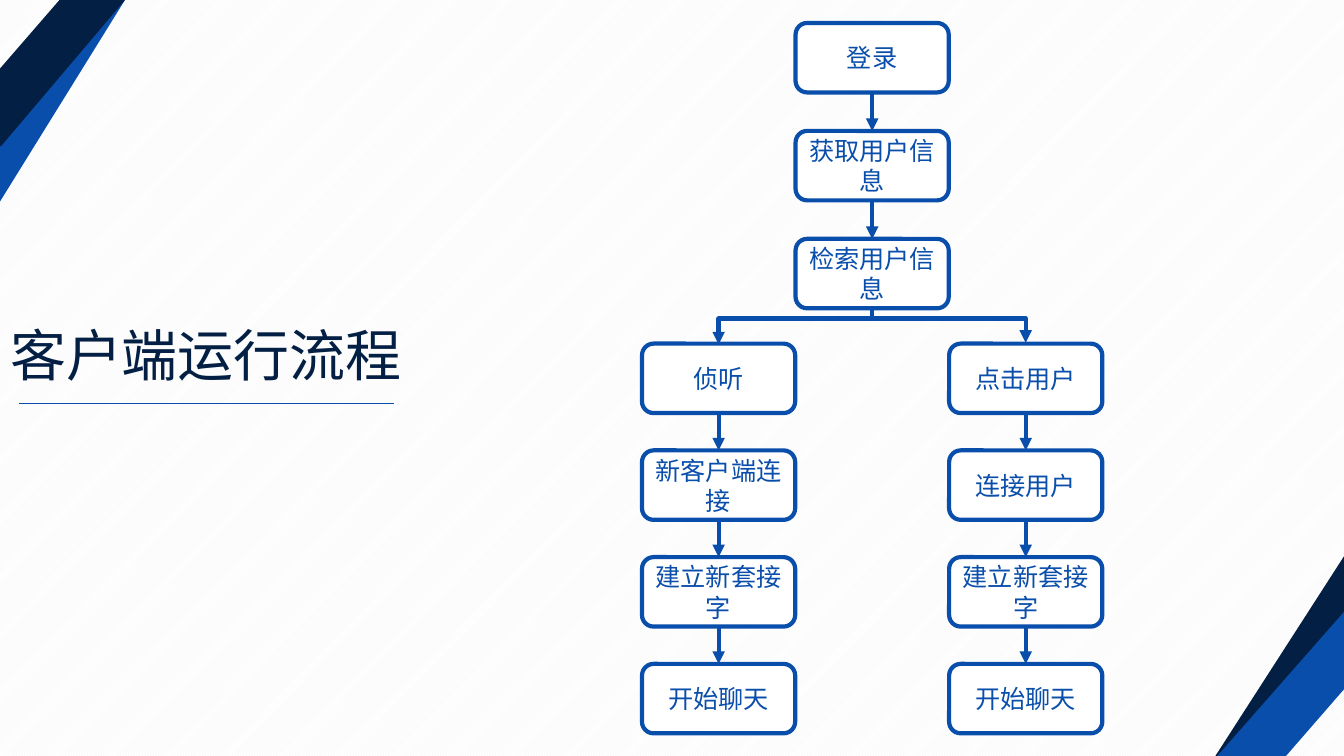
from lxml import etree
from pptx import Presentation
from pptx.dml.color import RGBColor
from pptx.enum.dml import MSO_PATTERN
from pptx.enum.shapes import MSO_CONNECTOR, MSO_SHAPE
from pptx.enum.text import MSO_ANCHOR, MSO_AUTO_SIZE, PP_ALIGN
from pptx.oxml.ns import qn
from pptx.util import Cm, Pt

STRAIGHT, ELBOW = MSO_CONNECTOR.STRAIGHT, MSO_CONNECTOR.ELBOW
RECTANGLE, ROUNDED = MSO_SHAPE.RECTANGLE, MSO_SHAPE.ROUNDED_RECTANGLE
DIAGONAL = MSO_PATTERN.LIGHT_UPWARD_DIAGONAL
TOP, MIDDLE = MSO_ANCHOR.TOP, MSO_ANCHOR.MIDDLE
LEFT, CENTER = PP_ALIGN.LEFT, PP_ALIGN.CENTER
NO_AUTOFIT = MSO_AUTO_SIZE.NONE

COLORS = {"navy": "041F44", "blue": "0A4EAB", "white": "FFFFFF", "stripe": "F2F2F2"}
FONT = "Noto Sans CJK SC"
SLIDE_W, SLIDE_H = 33.87, 19.05

BOX_W, BOX_H = 3.86, 1.75
TRUNK_X, BRANCH_SHIFT = 21.98, 3.87
TRUNK_TOP, TRUNK_STEP = 0.58, 2.72
BRANCH_TOP, BRANCH_STEP = 8.66, 2.69
FORK_Y = 8.03
FORK_DEPTH = 0.04

TRUNK = ["登录", "获取用户信息", "检索用户信息"]
LISTENING = ["侦听", "新客户端连接", "建立新套接字", "开始聊天"]
CALLING = ["点击用户", "连接用户", "建立新套接字", "开始聊天"]

CORNERS = [
    ("blue", [(2.26, 0), (3.15, 0), (0, 5.08), (0, 3.66)]),
    ("navy", [(1.5, 0), (3.15, 0), (0.03, 3.68), (0, 3.68), (0, 1.73)]),
    ("navy", [(31.5, 19.05), (30.63, 19.05), (33.87, 14.02), (33.87, 15.44)]),
    ("blue", [(30.68, 19.05), (33.87, 15.42), (33.87, 17.37), (32.41, 19.05)]),
]


def color(name):
    return RGBColor.from_string(COLORS[name])


def set_all(target, values):
    for name, value in values.items():
        setattr(target, name, value)


class FlowSlide:
    def __init__(self, slide):
        self.slide = slide
        self.shapes = slide.shapes

    def label(self, shape, text, size, ink, align, frame_format):
        frame = shape.text_frame
        set_all(frame, frame_format)
        paragraph = frame.paragraphs[0]
        paragraph.alignment = align
        run = paragraph.add_run()
        run.text = text
        set_all(run.font, {"size": Pt(size), "name": FONT, "bold": False})
        run.font.color.rgb = color(ink)
        east_asian = etree.SubElement(run._r.get_or_add_rPr(), qn("a:ea"))
        east_asian.set("typeface", FONT)

    def backdrop(self):
        """Striped rectangle placed behind everything, the title included."""
        stripes = self.shapes.add_shape(RECTANGLE, 0, 0, Cm(SLIDE_W), Cm(SLIDE_H))
        stripes.shadow.inherit = False
        stripes.fill.patterned()
        stripes.fill.pattern = DIAGONAL
        stripes.fill.fore_color.rgb = color("stripe")
        stripes.fill.back_color.rgb = color("white")
        stripes.line.fill.background()
        self.shapes._spTree.insert(2, stripes._element)

    def polygon(self, fill, points):
        start, *rest = [(Cm(x), Cm(y)) for x, y in points]
        builder = self.shapes.build_freeform(*start)
        builder.add_line_segments(rest, close=True)
        corner = builder.convert_to_shape()
        corner.shadow.inherit = False
        corner.fill.solid()
        corner.fill.fore_color.rgb = color(fill)
        corner.line.fill.background()

    def title(self, text, left, top, width, height):
        heading = self.shapes.title
        set_all(heading, {"left": Cm(left), "top": Cm(top),
                          "width": Cm(width), "height": Cm(height)})
        self.label(heading, text, 40, "navy", LEFT,
                   {"word_wrap": True, "auto_size": NO_AUTOFIT,
                    "vertical_anchor": TOP, "margin_right": 0})
        heading.text_frame.paragraphs[0].line_spacing = 1.0

    def box(self, text, center_x, top):
        step = self.shapes.add_shape(ROUNDED, Cm(center_x - BOX_W / 2), Cm(top),
                                     Cm(BOX_W), Cm(BOX_H))
        step.shadow.inherit = False
        step.fill.solid()
        step.fill.fore_color.rgb = color("white")
        step.line.color.rgb = color("blue")
        step.line.width = Pt(3)
        self.label(step, text, 18, "blue", CENTER,
                   {"word_wrap": True, "vertical_anchor": MIDDLE})

    def line(self, x1, y1, x2, y2, width=3, arrows=(), kind=STRAIGHT):
        """Draw a connector; arrows lists headEnd and tailEnd, in that order."""
        link = self.shapes.add_connector(kind, Cm(x1), Cm(y1), Cm(x2), Cm(y2))
        link.line.color.rgb = color("blue")
        link.line.width = Pt(width)
        outline = link._element.spPr.find(qn("a:ln"))
        for end in arrows:
            etree.SubElement(outline, qn(f"a:{end}")).set("type", "triangle")
        etree.SubElement(link._element.spPr, qn("a:effectLst"))
        return link

    def fork(self, center_x, center_y, span, rise):
        """Double-headed elbow, turned a quarter so that its bar lies on top."""
        dx, dy = FORK_DEPTH / 2, span / 2
        elbow = self.line(center_x + dx, center_y + dy, center_x - dx, center_y - dy,
                          arrows=("headEnd", "tailEnd"), kind=ELBOW)
        properties = elbow._element.spPr
        properties.find(qn("a:xfrm")).set("rot", "5400000")
        geometry = properties.find(qn("a:prstGeom"))
        adjustments = geometry.find(qn("a:avLst"))
        if adjustments is None:
            adjustments = etree.SubElement(geometry, qn("a:avLst"))
        bend = etree.SubElement(adjustments, qn("a:gd"))
        bend.set("name", "adj1")
        bend.set("fmla", f"val {round((rise + dx) / FORK_DEPTH * 100000)}")

    def column(self, steps, center_x, top, pitch):
        """Stack of boxes with an arrow from each one to the next."""
        for index, text in enumerate(steps):
            self.box(text, center_x, top + index * pitch)
        for index in range(1, len(steps)):
            arrival = top + index * pitch
            self.line(center_x, arrival - pitch + BOX_H, center_x, arrival,
                      arrows=("tailEnd",))


def main():
    deck = Presentation()
    set_all(deck, {"slide_width": Cm(SLIDE_W), "slide_height": Cm(SLIDE_H)})
    flow = FlowSlide(deck.slides.add_slide(deck.slide_layouts[5]))

    flow.backdrop()
    for fill, points in CORNERS:
        flow.polygon(fill, points)
    flow.title("客户端运行流程", 0, 7.95, 10.41, 1.96)
    flow.line(0.48, 10.16, 9.93, 10.16, width=0.5)

    flow.column(TRUNK, TRUNK_X, TRUNK_TOP, TRUNK_STEP)
    flow.column(LISTENING, TRUNK_X - BRANCH_SHIFT, BRANCH_TOP, BRANCH_STEP)
    flow.column(CALLING, TRUNK_X + BRANCH_SHIFT, BRANCH_TOP, BRANCH_STEP)
    flow.fork(TRUNK_X, BRANCH_TOP, 2 * BRANCH_SHIFT, BRANCH_TOP - FORK_Y)
    trunk_bottom = TRUNK_TOP + (len(TRUNK) - 1) * TRUNK_STEP + BOX_H
    flow.line(TRUNK_X, trunk_bottom, TRUNK_X, FORK_Y)

    deck.save("out.pptx")


if __name__ == "__main__":
    main()
